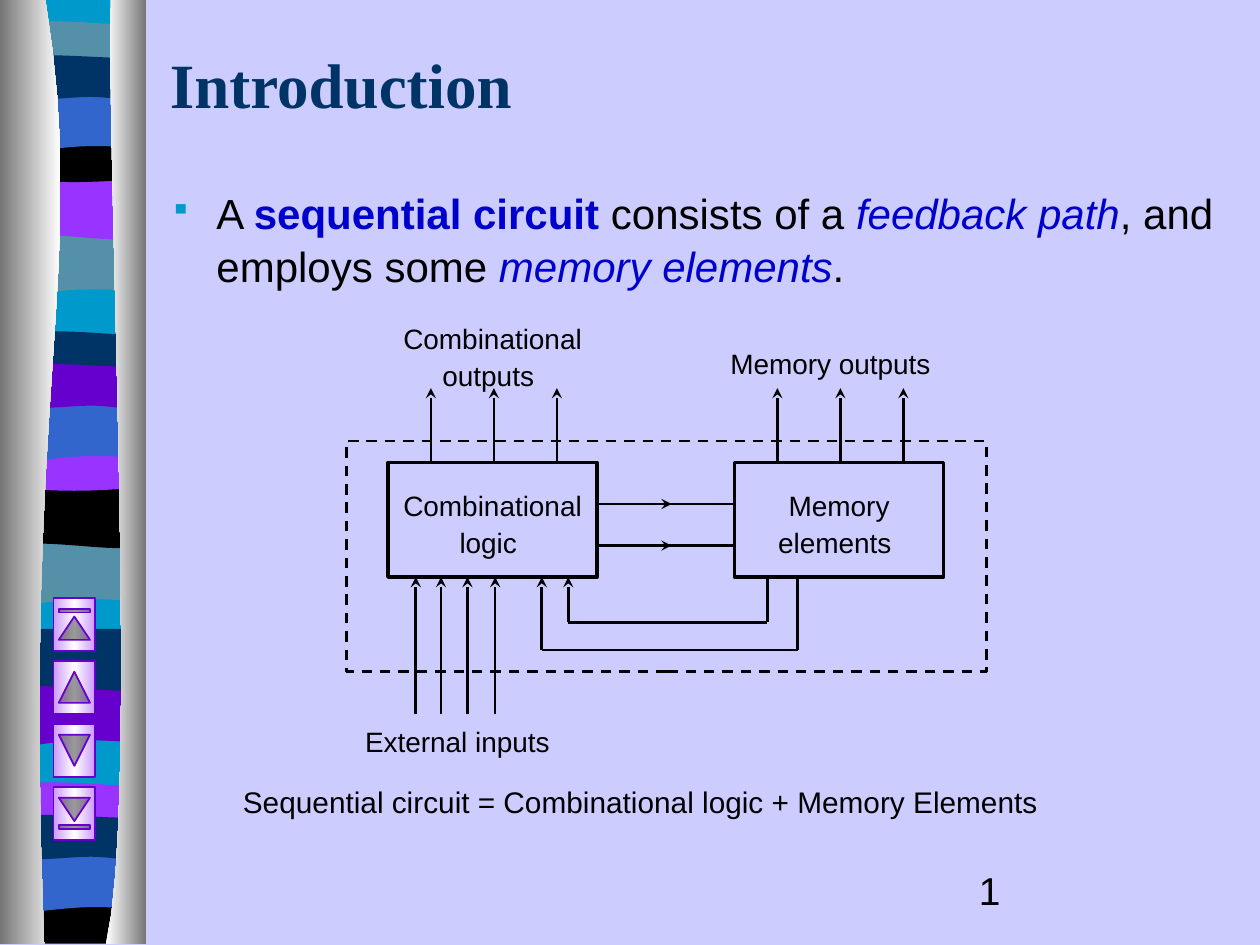
from lxml import etree
from pptx import Presentation
from pptx.dml.color import RGBColor
from pptx.enum.dml import MSO_LINE
from pptx.enum.shapes import MSO_CONNECTOR, MSO_SHAPE
from pptx.enum.text import MSO_ANCHOR, PP_ALIGN
from pptx.oxml.ns import qn
from pptx.util import Inches, Pt

RECT = MSO_SHAPE.RECTANGLE
BUTTONS = (MSO_SHAPE.ACTION_BUTTON_BEGINNING, MSO_SHAPE.ACTION_BUTTON_BACK_OR_PREVIOUS,
           MSO_SHAPE.ACTION_BUTTON_FORWARD_OR_NEXT, MSO_SHAPE.ACTION_BUTTON_END)
STRAIGHT = MSO_CONNECTOR.STRAIGHT
DASH = MSO_LINE.DASH
LEFT, CENTER = PP_ALIGN.LEFT, PP_ALIGN.CENTER
TOP, MIDDLE = MSO_ANCHOR.TOP, MSO_ANCHOR.MIDDLE

BLACK, NAVY, BLUE, CYAN = "000000", "003366", "0000CC", "0099CC"
TEAL, VIOLET, PURPLE, ROYAL = "5490A8", "9933FF", "6600CC", "3366CC"
LILAC, GREY, WHITE = "CC99FF", "767676", "FFFFFF"

# Band outlines with y measured from the band's top; six numbers make a Bezier curve
L, R = 0.05, 1.13
SWELL = [(R, 0), (R, .47), (.39, .39, .23, .55, L, .47), (L, 0)]
RIPPLE = [(R, 0), (R, .47), (.95, .54, .39, .41, L, .47), (L, 0)]
LENS = [(R, 0), (R, .24), (.95, .28, .23, .28, L, .24), (L, 0),
        (.12, -.05, .29, -.04, .47, -.04), (.65, -.04, 1, -.01, R, 0)]
BOWL = [(R, 0), (R, .32), (.95, .38, .23, .38, L, .32), (L, 0), (.72, .05, .91, 0, R, 0)]
ARCH = [(R, 0), (R, .47), (.97, .42, .9, .42, .72, .42), (.54, .42, .22, .47, L, .47), (L, 0)]
FLAG = [(R, 0), (R, .31), (1.07, .36, .9, .31, .72, .31), (.54, .31, .16, .36, L, .31),
        (L, 0), (.21, -.05, .79, 0, .97, 0)]
FOOT = [(R, 0), (R, .37), (L, .37), (L, 0), (.72, .05, .91, 0, R, 0)]
BANDS = [
    (SWELL, 1.85, TEAL), (RIPPLE, 1.41, VIOLET), (LENS, .21, TEAL), (BOWL, 1.08, BLACK),
    (ARCH, .74, ROYAL), (FLAG, .46, NAVY),
    (SWELL, 4.31, TEAL), (RIPPLE, 3.86, BLACK), (LENS, 2.67, NAVY), (BOWL, 3.53, VIOLET),
    (ARCH, 3.2, ROYAL), (FLAG, 2.91, PURPLE),
    (SWELL, 5.43, PURPLE), (RIPPLE, 4.99, NAVY), (LENS, 6.25, VIOLET), (FOOT, 7.12, BLACK),
    (ARCH, 6.78, ROYAL), (FLAG, 6.49, NAVY),
]
LEFT_PILLAR = [(.36, 0), (.71, 2.16, .17, 2.96, .35, 7.49), (0, 7.49), (0, 0)]
RIGHT_PILLAR = [(.88, 0), (.84, 1.25, 1.11, 6.46, .84, 7.49), (1.16, 7.49), (1.16, 0)]


def rgb(color):
    return RGBColor.from_string(color)


def flatten(path, steps=16):
    """Turn a path of points and Bezier curves into plain points."""
    points = []
    for part in path:
        if len(part) == 2:
            points.append(part)
            continue
        ctrl = [points[-1], part[:2], part[2:4], part[4:]]
        for i in range(1, steps + 1):
            t = i / steps
            weights = ((1 - t) ** 3, 3 * t * (1 - t) ** 2, 3 * t * t * (1 - t), t ** 3)
            points.append(tuple(sum(w * c[axis] for w, c in zip(weights, ctrl))
                                for axis in (0, 1)))
    return points


class Deck:
    font = "Arial"
    ink = BLACK

    def __init__(self, width, height, background):
        self.prs = Presentation()
        self.prs.slide_width, self.prs.slide_height = Inches(width), Inches(height)
        self.s = self.prs.slides.add_slide(self.prs.slide_layouts[6])
        self.s.background.fill.solid()
        self.s.background.fill.fore_color.rgb = rgb(background)

    def paint(self, sp, fill=None, line=None, width=1.5, angle=0):
        """Fill is a colour, a list of evenly spaced gradient colours, or None."""
        sp.shadow.inherit = False
        if fill is None:
            sp.fill.background()
        elif isinstance(fill, str):
            sp.fill.solid()
            sp.fill.fore_color.rgb = rgb(fill)
        else:
            sp.fill.gradient()
            sp.fill.gradient_angle = angle
            stops = sp._element.spPr.find(".//" + qn("a:gsLst"))
            stops.clear()
            for i, color in enumerate(fill):
                stop = etree.SubElement(stops, qn("a:gs"), pos=str(100000 * i // (len(fill) - 1)))
                etree.SubElement(stop, qn("a:srgbClr"), val=color)
        if line:
            sp.line.color.rgb = rgb(line)
            sp.line.width = Pt(width)
        else:
            sp.line.fill.background()

    def shape(self, kind, x, y, w, h, **style):
        sp = self.s.shapes.add_shape(kind, Inches(x), Inches(y), Inches(w), Inches(h))
        self.paint(sp, **style)
        return sp

    def outline(self, path, fill, top=0):
        points = [(Inches(x), Inches(top + y)) for x, y in flatten(path)]
        builder = self.s.shapes.build_freeform(*points[0])
        builder.add_line_segments(points[1:], close=True)
        self.paint(builder.convert_to_shape(), fill)

    def wire(self, x1, y1, x2, y2, arrow=False):
        cn = self.s.shapes.add_connector(STRAIGHT, Inches(x1), Inches(y1), Inches(x2), Inches(y2))
        cn.line.color.rgb = rgb(self.ink)
        cn.line.width = Pt(1.5)
        if arrow:
            etree.SubElement(cn.line._get_or_add_ln(), qn("a:tailEnd"), type="stealth")
        etree.SubElement(cn._element.spPr, qn("a:effectLst"))

    def text(self, x, y, w, h, runs, size, align=LEFT, anchor=TOP, bullet=None, spacing=None):
        """Each run is its text and a dict of what differs from the style."""
        tf = self.s.shapes.add_textbox(Inches(x), Inches(y), Inches(w), Inches(h)).text_frame
        tf.word_wrap = True
        tf.vertical_anchor = anchor
        p = tf.paragraphs[0]
        p.alignment = align
        if spacing:
            p.line_spacing = spacing
        if bullet:
            pPr = p._p.get_or_add_pPr()
            pPr.set("marL", str(Inches(0.37)))
            pPr.set("indent", str(-Inches(0.37)))
            color = etree.SubElement(pPr, qn("a:buClr"))
            etree.SubElement(color, qn("a:srgbClr"), val=CYAN)
            etree.SubElement(pPr, qn("a:buSzPct"), val="70000")
            etree.SubElement(pPr, qn("a:buChar"), char=bullet)
        for content, look in runs:
            r = p.add_run()
            r.text = content
            r.font.name = look.get("font", self.font)
            r.font.size = Pt(look.get("size", size))
            r.font.bold = look.get("bold", False)
            r.font.italic = look.get("italic", False)
            r.font.color.rgb = rgb(look.get("color", self.ink))

    def label(self, x, y, w, h, content):
        self.text(x, y, w, h, [(content, {}), (" ", {"size": 18})], 16, CENTER)


def main():
    deck = Deck(10, 7.5, "CCCCFF")

    # Side strip: coloured bands between two pillars
    deck.shape(RECT, L, 0, R - L, 7.46, fill=CYAN)
    for path, top, color in BANDS:
        deck.outline(path, color, top)
    deck.outline(LEFT_PILLAR, [GREY, WHITE])
    deck.outline(RIGHT_PILLAR, [WHITE, GREY])

    # Page number, title and body
    deck.text(7.67, 6.83, 2.08, 0.5, [("1", {})], 22.2)
    deck.text(1.25, 0.25, 8.5, 0.83, [
        ("Introduction", {"font": "Times New Roman", "bold": True, "color": NAVY})],
        36, anchor=MIDDLE)
    term = {"italic": True, "color": BLUE}
    deck.text(1.25, 1.42, 8.5, 0.92, [
        ("A ", {}), ("sequential circuit", {"bold": True, "color": BLUE}),
        (" consists of a ", {}), ("feedback path", term),
        (", and employs some ", {}), ("memory elements", term), (".", {})],
        24, bullet="▪", spacing=1.05)

    # Blocks with three outputs each
    for x, name in ((3.08, "Combinational logic"), (5.83, "Memory elements")):
        deck.shape(RECT, x, 3.67, 1.66, 0.91, line=BLACK, width=2)
        deck.label(x, 3.83, 1.66, 0.67, name)
        for i in range(3):
            out = x + 0.34 + 0.5 * i
            deck.wire(out, 3.67, out, 3.08, arrow=True)

    # Links from logic to memory, with the arrowhead midway
    for y in (4, 4.33):
        deck.wire(4.75, y, 5.33, y, arrow=True)
        deck.wire(5.25, y, 5.83, y)

    # External inputs
    for x in (3.3, 3.5, 3.71, 3.93):
        deck.wire(x, 5.67, x, 4.58, arrow=True)

    # Feedback paths
    for x_in, x_out, y in ((4.3, 6.33, 5.16), (4.51, 6.09, 4.94)):
        deck.wire(x_out, 4.58, x_out, y)
        deck.wire(x_in, y, x_out, y)
        deck.wire(x_in, y, x_in, 4.58, arrow=True)

    # Labels and system boundary
    deck.label(3.08, 2.5, 1.66, 0.67, "Combinational outputs")
    deck.label(5.67, 2.67, 1.91, 0.4, "Memory outputs")
    deck.label(2.75, 5.67, 1.83, 0.4, "External inputs")
    boundary = deck.shape(RECT, 2.75, 3.5, 5.08, 1.83, line=BLACK)
    boundary.line.dash_style = DASH
    deck.text(1.83, 6.17, 7.67, 0.42, [
        ("Sequential circuit = Combinational logic + Memory Elements", {})], 17)

    # Navigation buttons
    for i, kind in enumerate(BUTTONS):
        button = deck.shape(kind, 0.38, 4.79 + 0.5 * i, 0.42, 0.33,
                            fill=[LILAC, WHITE, LILAC], line=PURPLE, width=1, angle=90)
        button.rotation = 90

    deck.prs.save("out.pptx")


if __name__ == "__main__":
    main()
